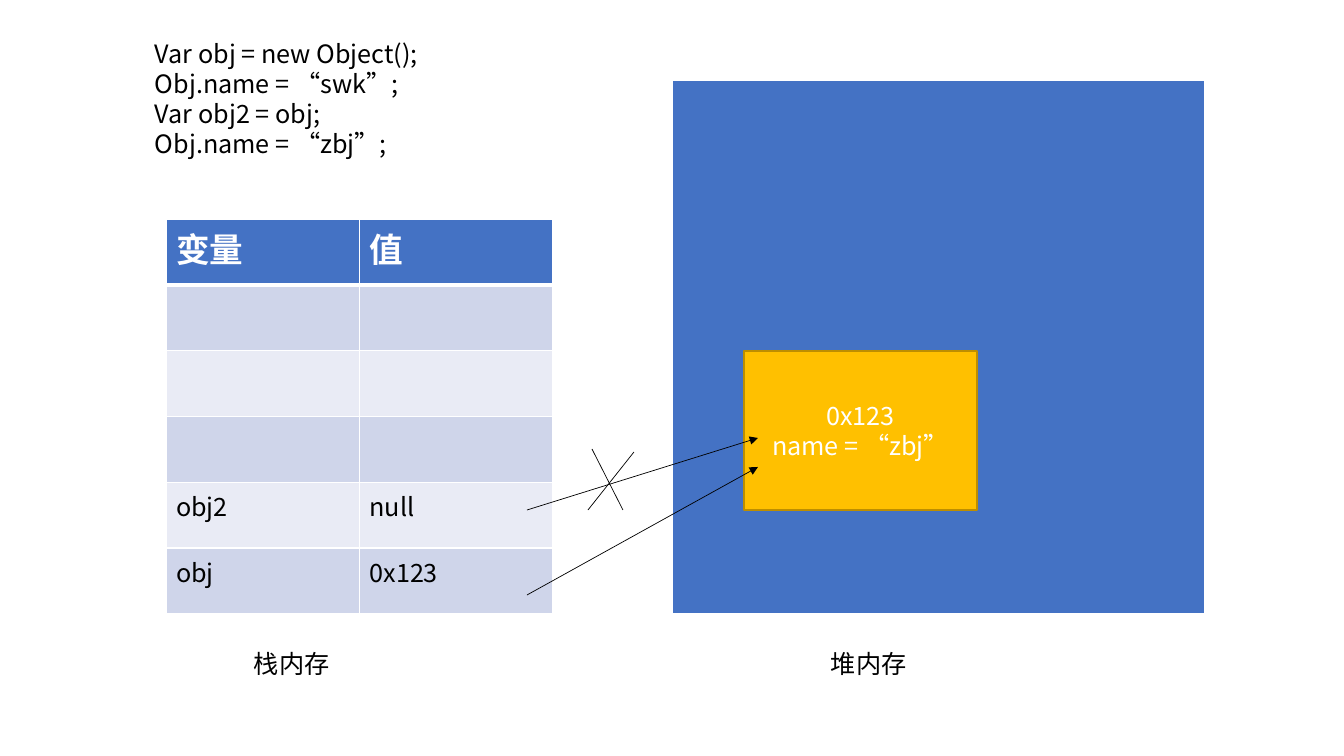
import pptx
import pptx.util
import pptx.dml.color
import pptx.enum.dml
import pptx.enum.lang
import pptx.enum.shapes
import pptx.enum.text
import pptx.oxml
import pptx.oxml.ns

FONT = "Noto Sans CJK SC"
COLORS = {"blue": "4472C4", "band": "CFD5EA", "light": "E9EBF5", "gold": "FFC000",
          "gold_line": "BD8E00", "black": "000000", "white": "FFFFFF"}
STACK = [("变量", "值"), ("", ""), ("", ""), ("", ""), ("obj2", "null"), ("obj", "0x123")]
STACK_BOX = (166, 219, 387, 395)
HEAP = [("",)]
HEAP_BOX = (672, 80, 533, 535)
TEXTS = [
    ((244, 643, 188, 40), ["栈内存"]),
    ((821, 643, 308, 40), ["堆内存"]),
    ((145, 33, 407, 132), ["Var obj = new Object();", "Obj.name = “swk”;",
                           "Var obj2 = obj;", "Obj.name = “zbj”;"]),
]
OBJECT_BOX = (744, 351, 233, 159)
OBJECT_LINES = ["0x123", "name = “zbj”"]
ARROWS = [(527, 595, 758, 467), (527, 510, 758, 438)]
CROSS = [(592, 449, 623, 510), (634, 452, 588, 510)]
SIDES = ("lnL", "lnR", "lnT", "lnB")


def px(*values):
    return [pptx.util.Emu(round(v * 914400 / 100.8)) for v in values]


def rgb(name):
    return pptx.dml.color.RGBColor.from_string(COLORS[name])


def paint(fill, color):
    fill.solid()
    fill.fore_color.rgb = rgb(color)


def child(parent, tag, **attrs):
    e = pptx.oxml.parse_xml(f"<a:{tag} {pptx.oxml.ns.nsdecls('a')}/>")
    for key, value in attrs.items():
        e.set(key, str(value))
    parent.append(e)
    return e


def write(tf, lines, color="black", size=18, bold=False, align="LEFT"):
    formats = {"name": FONT, "size": pptx.util.Pt(size), "bold": bold,
               "language_id": pptx.enum.lang.MSO_LANGUAGE_ID.SIMPLIFIED_CHINESE}
    for i, line in enumerate(lines):
        p = tf.add_paragraph() if i else tf.paragraphs[0]
        p.alignment = getattr(pptx.enum.text.PP_ALIGN, align)
        r = p.add_run()
        r.text = line
        for key, value in formats.items():
            setattr(r.font, key, value)
        r.font.color.rgb = rgb(color)
        child(r.font._element, "ea", typeface=FONT)


def add_grid(rows, box):
    table = s.shapes.add_table(len(rows), len(rows[0]), *px(*box)).table
    for i, row in enumerate(rows):
        thick = {0: "lnB", 1: "lnT"}.get(i)
        for j, text in enumerate(row):
            cell = table.cell(i, j)
            tcPr = cell._tc.get_or_add_tcPr()
            for side in SIDES:
                ln = child(tcPr, side, w=pptx.util.Pt(3 if side == thick else 1))
                child(child(ln, "solidFill"), "srgbClr", val=COLORS["white"])
            paint(cell.fill, "blue" if i == 0 else "band" if i % 2 else "light")
            if text and i == 0:
                write(cell.text_frame, [text], "white", 24, True)
            elif text:
                write(cell.text_frame, [text])


def add_line(ends, arrow):
    c = s.shapes.add_connector(pptx.enum.shapes.MSO_CONNECTOR.STRAIGHT, *px(*ends))
    c.line.color.rgb = rgb("black")
    c.line.width = pptx.util.Pt(0.5)
    if arrow:
        child(c.line._get_or_add_ln(), "tailEnd", type="triangle")
    child(c._element.spPr, "effectLst")


prs = pptx.Presentation()
prs.slide_width, prs.slide_height = px(1344, 756)
s = prs.slides.add_slide(prs.slide_layouts[6])

add_grid(STACK, STACK_BOX)
add_grid(HEAP, HEAP_BOX)

for box, lines in TEXTS:
    tf = s.shapes.add_textbox(*px(*box)).text_frame
    tf.word_wrap = True
    tf.auto_size = pptx.enum.text.MSO_AUTO_SIZE.SHAPE_TO_FIT_TEXT
    write(tf, lines)

sp = s.shapes.add_shape(pptx.enum.shapes.MSO_SHAPE.RECTANGLE, *px(*OBJECT_BOX))
sp.shadow.inherit = False
paint(sp.fill, "gold")
sp.line.color.rgb = rgb("gold_line")
sp.line.width = pptx.util.Pt(1)
sp.text_frame.word_wrap = True
sp.text_frame.vertical_anchor = pptx.enum.text.MSO_ANCHOR.MIDDLE
write(sp.text_frame, OBJECT_LINES, "white", align="CENTER")

for ends in ARROWS:
    add_line(ends, True)
for ends in CROSS:
    add_line(ends, False)

prs.save("out.pptx")
